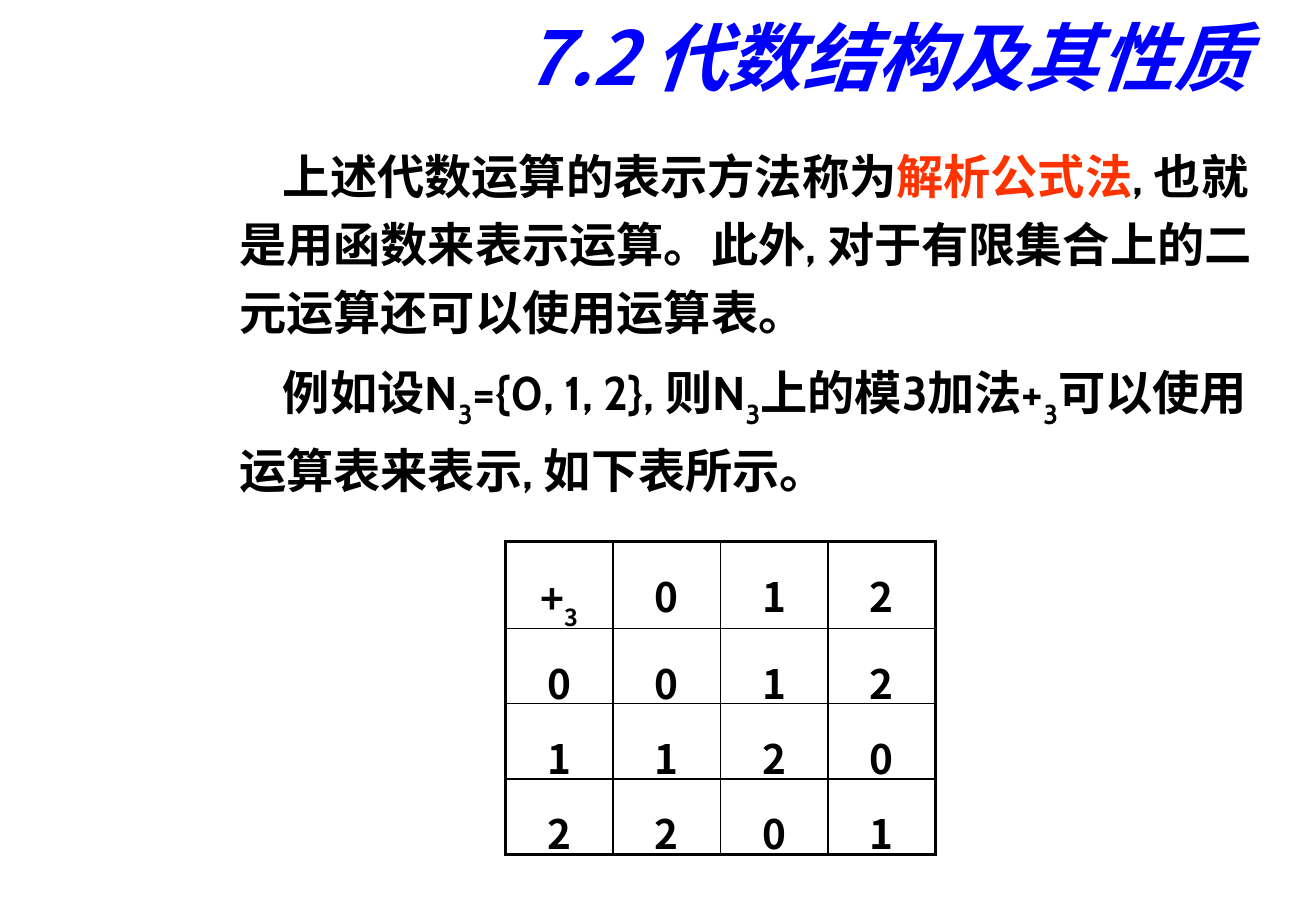
import pptx
import pptx.dml.color
import pptx.enum.text
import pptx.oxml
import pptx.oxml.ns
import pptx.util

Inches, Pt = pptx.util.Inches, pptx.util.Pt
qn = pptx.oxml.ns.qn
ALIGN = pptx.enum.text.PP_ALIGN
ANCHOR = pptx.enum.text.MSO_ANCHOR

HAN, LATIN = "Noto Sans CJK SC", "Cabin"
BLACK, BLUE, RED = "000000", "0000FF", "FF3300"
THIN, THICK = 1, 2.25

# Each run is its text and its format.
SUB = ("3", {"sub": True})
TITLE = [("7.2 代数结构及其性质", {"color": BLUE, "italic": True})]
BODY = [
    [("上述代数运算的表示方法称为", {}),
     ("解析公式法", {"color": RED}),
     (", 也就是用函数来表示运算。此外, 对于有限集合上的二元运算还可以使用运算表。", {})],
    [("例如设N", {}), SUB, ("={0, 1, 2}, 则N", {}), SUB,
     ("上的模3加法+", {}), SUB,
     ("可以使用运算表来表示, 如下表所示。", {})],
]
BASE = 3
HEAD = [("+", {}), SUB]
WIDTH, HEIGHT = 3.54, 2.48


def paint(color, hue):
    """Set a colour format from a hex string."""
    color.rgb = pptx.dml.color.RGBColor.from_string(hue)


def add_run(para, text, size=28, font=HAN, color=BLACK, italic=False, sub=False):
    """Add one bold run, lowered if it is a subscript."""
    run = para.add_run()
    run.text = text
    face = run.font
    face.size, face.name, face.bold, face.italic = Pt(size), font, True, italic
    paint(face.color, color)
    props = run._r.get_or_add_rPr()
    if sub:
        props.set("baseline", "-30000")
    props.find(qn("a:latin")).addnext(pptx.oxml.parse_xml(
        f'<a:ea {pptx.oxml.ns.nsdecls("a")} typeface="{HAN}"/>'))


def write(para, runs, align=ALIGN.LEFT, lead=None, **style):
    """Fill a paragraph with runs; lead sets its line spacing."""
    para.alignment = align
    if lead:
        para.line_spacing = lead
        para.space_before = Pt(0)
        gap = para._p.pPr.find(qn("a:spcBef"))
        gap.clear()
        gap.append(pptx.oxml.parse_xml(
            f'<a:spcPct {pptx.oxml.ns.nsdecls("a")} val="20000"/>'))
    for text, extra in runs:
        add_run(para, text, **{**style, **extra})


def add_box(slide, left, top, width, height, anchor):
    """Add a wrapping text box and return its text frame."""
    box = slide.shapes.add_textbox(*map(Inches, (left, top, width, height)))
    frame = box.text_frame
    frame.word_wrap, frame.vertical_anchor = True, anchor
    return frame


def add_edges(cell, widths):
    """Draw the left, right, top and bottom edges of a cell."""
    props = cell._tc.get_or_add_tcPr()
    for place, (side, width) in enumerate(zip("LRTB", widths)):
        props.insert(place, pptx.oxml.parse_xml(
            f'<a:ln{side} {pptx.oxml.ns.nsdecls("a")} w="{Pt(width)}">'
            f'<a:solidFill><a:srgbClr val="{BLACK}"/></a:solidFill></a:ln{side}>'))


def add_sums(slide):
    """Add the operation table, computing each sum modulo BASE."""
    count = BASE + 1
    table = slide.shapes.add_table(
        count, count, *map(Inches, (4.16, 4.46, WIDTH, HEIGHT))).table
    table.first_row = table.horz_banding = False
    for row in range(count):
        for col in range(count):
            cell = table.cell(row, col)
            cell.fill.background()
            add_edges(cell, [THICK if outer else THIN for outer in
                             (col == 0, col == BASE, row == 0, row == BASE)])
            # Header cells hold the operands, the rest their sum.
            first, second = max(row - 1, 0), max(col - 1, 0)
            runs = [(str((first + second) % BASE), {})] if row or col else HEAD
            write(cell.text_frame.paragraphs[0], runs,
                  align=ALIGN.CENTER, lead=1.3, size=24)


deck = pptx.Presentation()
deck.slide_width, deck.slide_height = Inches(10.83), Inches(7.5)
slide = deck.slides.add_slide(deck.slide_layouts[6])

title = add_box(slide, 2.03, 0.08, 8.34, 0.76, ANCHOR.MIDDLE)
write(title.paragraphs[0], TITLE, align=ALIGN.RIGHT, size=44)

body = add_box(slide, 1.87, 1.07, 8.58, 3.15, ANCHOR.TOP)
for place, runs in enumerate(BODY):
    para = body.add_paragraph() if place else body.paragraphs[0]
    write(para, runs, lead=1.2, font=LATIN)
    para._p.pPr.set("indent", str(Inches(0.36)))

add_sums(slide)
deck.save("out.pptx")
